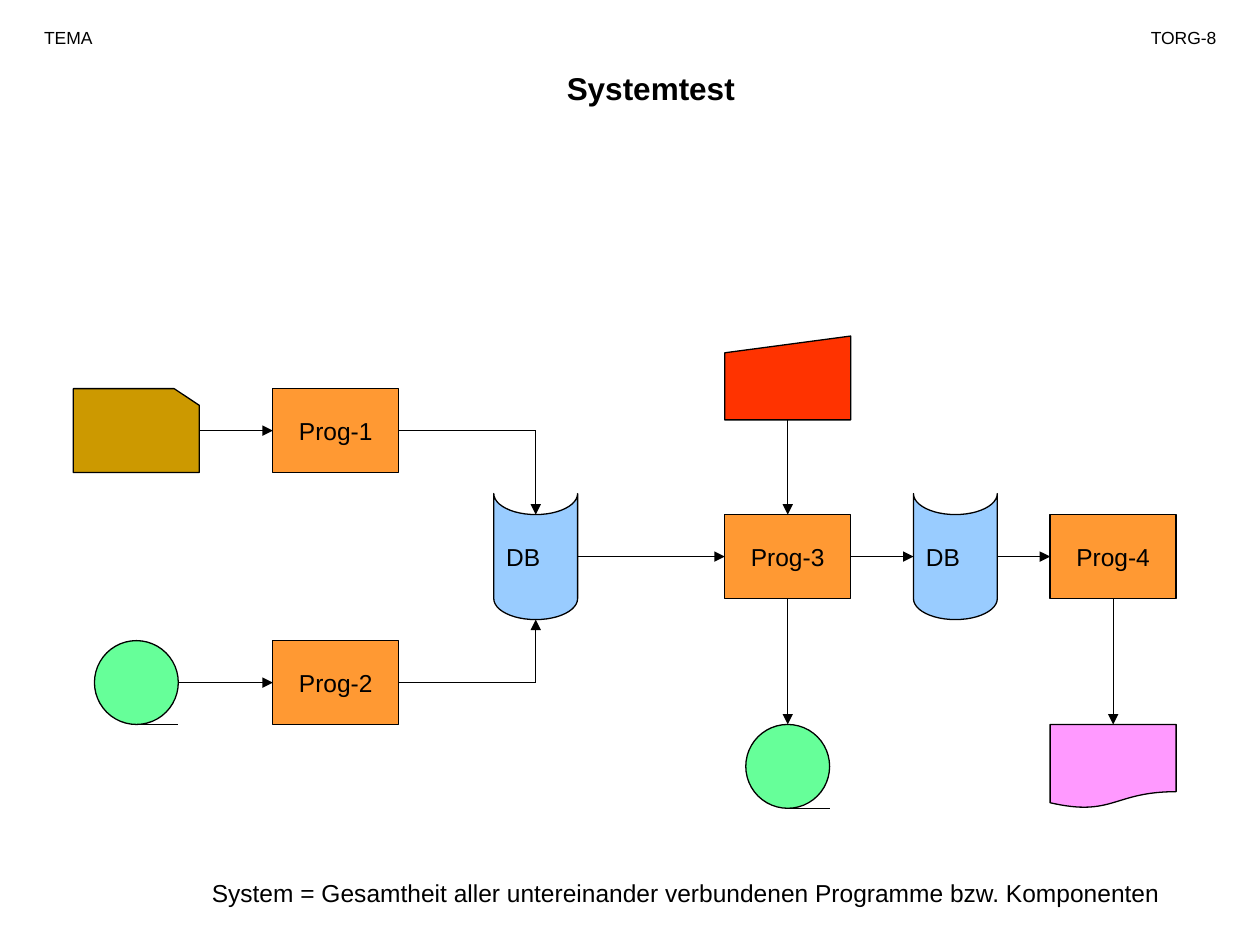
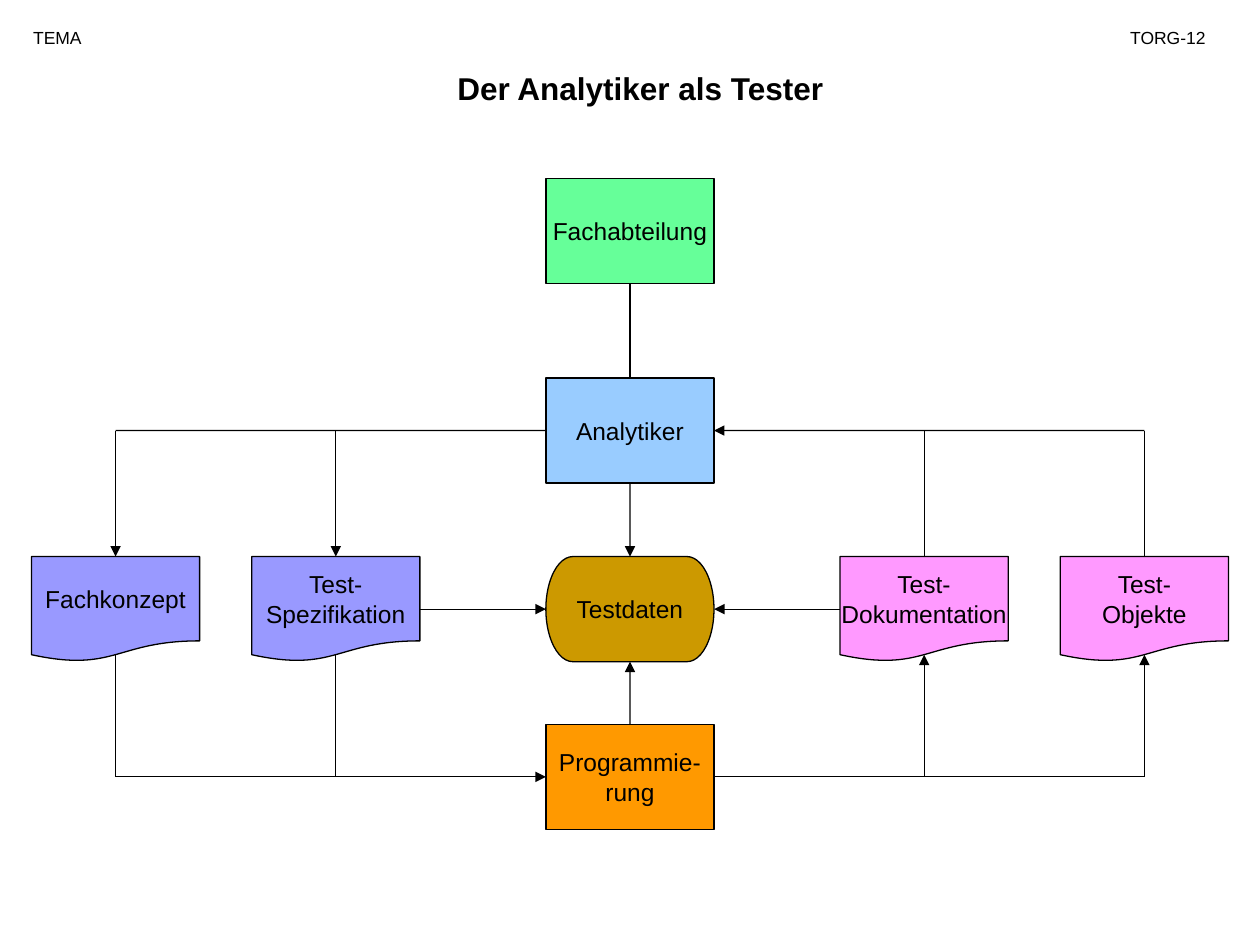
from lxml.etree import SubElement
from pptx import Presentation
from pptx.dml.color import RGBColor
from pptx.enum.shapes import MSO_CONNECTOR as Connector, MSO_SHAPE as Shape
from pptx.enum.text import MSO_ANCHOR as Anchor, MSO_AUTO_SIZE as AutoSize, PP_ALIGN as Align
from pptx.oxml.ns import qn
from pptx.util import Cm, Pt

color = RGBColor.from_string
BLACK, ORANGE, AMBER, OCHRE = "000000", "FF9933", "FF9900", "CC9900"
GREEN, BLUE, VIOLET, PINK, RED = "66FF99", "99CCFF", "9999FF", "FF99FF", "FF3300"
TOP, LEFT, BOTTOM, RIGHT = range(4)


def add_block(slide, kind, x, y, width, height, fill, text=""):
    block = slide.shapes.add_shape(
        kind, Cm(x - width / 2), Cm(y - height / 2), Cm(width), Cm(height))
    block.shadow.inherit = False
    block.fill.solid()
    block.fill.fore_color.rgb = color(fill)
    block.line.color.rgb = color(BLACK)
    block.line.width = Pt(0.75)
    frame = block.text_frame
    frame.text = text
    frame.word_wrap = False
    frame.auto_size = AutoSize.NONE
    frame.vertical_anchor = Anchor.MIDDLE
    for paragraph in frame.paragraphs:
        paragraph.alignment = Align.CENTER
        for run in paragraph.runs:
            run.font.name = "Arial"
            run.font.size = Pt(14)
            run.font.color.rgb = color(BLACK)
    return block


def add_line(slide, start, end, arrow=True):
    line = slide.shapes.add_connector(Connector.STRAIGHT, 0, 0, 0, 0)
    if isinstance(start[0], float):
        line.begin_x, line.begin_y = Cm(start[0]), Cm(start[1])
    else:
        line.begin_connect(*start)
    if isinstance(end[0], float):
        line.end_x, line.end_y = Cm(end[0]), Cm(end[1])
    else:
        line.end_connect(*end)
    line.line.color.rgb = color(BLACK)
    line.line.width = Pt(0.75)
    properties = line._element.spPr
    if arrow:
        SubElement(properties.find(qn("a:ln")), qn("a:tailEnd"), type="triangle")
    SubElement(properties, qn("a:effectLst"))


deck = Presentation()
deck.slide_width, deck.slide_height = Cm(25.4), Cm(19.05)
system, analyst = [deck.slides.add_slide(deck.slide_layouts[6]) for _ in range(2)]

labels = [(system, 4.02, 17.57, 20.32, 0.87, 14, Align.LEFT,
           "System = Gesamtheit aller untereinander verbundenen Programme bzw. Komponenten")]
for slide, topic_left, title_left, title, page in [
    (system, 0.64, 5.5, "Systemtest", "TORG-8"),
    (analyst, 0.42, 5.29, "Der Analytiker als Tester", "TORG-12"),
]:
    labels += [
        (slide, title_left, 1.27, 15.24, 1.02, 18, Align.CENTER, title),
        (slide, topic_left, 0.42, 2.33, 0.69, 10, Align.LEFT, "TEMA"),
        (slide, topic_left + 21.59, 0.42, 2.54, 0.69, 10, Align.RIGHT, page),
    ]
for slide, left, top, width, height, size, alignment, text in labels:
    label = slide.shapes.add_textbox(Cm(left), Cm(top), Cm(width), Cm(height))
    label.text_frame.word_wrap = True
    paragraph = label.text_frame.paragraphs[0]
    paragraph.text = text
    paragraph.alignment = alignment
    font = paragraph.runs[0].font
    font.name, font.size, font.bold = "Arial", Pt(size), size == 18
    font.color.rgb = color(BLACK)

step_w, step_h = 2.54, 1.69
input_x, prog_x, db_x, prog3_x, db2_x, prog4_x = 2.75, 6.77, 10.8, 15.88, 19.26, 22.44
upper_y, main_y, lower_y, output_y = 8.68, 11.22, 13.76, 15.45

prog1, prog2, prog3, prog4 = [
    add_block(system, Shape.RECTANGLE, x, y, step_w, step_h, ORANGE, f"Prog-{number}")
    for number, (x, y) in enumerate(
        [(prog_x, upper_y), (prog_x, lower_y), (prog3_x, main_y), (prog4_x, main_y)], 1)
]
for x in (db_x, db2_x):
    database = add_block(
        system, Shape.FLOWCHART_STORED_DATA, x, main_y, step_w, step_h, BLUE, "DB")
    database.rotation = 270
    frame = database.text_frame
    frame.margin_left = frame.margin_right = Cm(0.13)
    frame.margin_top = frame.margin_bottom = Cm(0.25)
    frame._txBody.bodyPr.set("vert", "eaVert")
add_block(system, Shape.FLOWCHART_DOCUMENT, prog4_x, output_y, step_w, step_h, PINK)
add_block(system, Shape.FLOWCHART_MANUAL_INPUT, prog3_x, 7.62, step_w, step_h, RED)
card = add_block(system, Shape.FLOWCHART_CARD, input_x, upper_y, step_w, step_h, OCHRE)
card._element.spPr.xfrm.set("flipH", "1")
radius = step_h / 2
for x, y in [(input_x, lower_y), (prog3_x, output_y)]:
    add_block(system, Shape.OVAL, x, y, step_h, step_h, GREEN)
    add_line(system, (x, y + radius), (x + radius, y + radius), arrow=False)

output_top = output_y - radius
for start, end in [
    ((input_x + step_w / 2, upper_y), (prog1, LEFT)),
    ((input_x + radius, lower_y), (prog2, LEFT)),
    ((db_x, upper_y), (db_x, main_y - radius)),
    ((db_x, lower_y), (db_x, main_y + step_w / 2)),
    ((db_x + radius, main_y), (prog3, LEFT)),
    ((prog3, RIGHT), (db2_x - radius, main_y)),
    ((db2_x + radius, main_y), (prog4, LEFT)),
    ((prog3_x, 7.62 + radius), (prog3, TOP)),
    ((prog3, BOTTOM), (prog3_x, output_top)),
    ((prog4, BOTTOM), (prog4_x, output_top)),
]:
    add_line(system, start, end)
for program, y in [(prog1, upper_y), (prog2, lower_y)]:
    add_line(system, (program, RIGHT), (db_x, y), arrow=False)

role_w, role_h = 3.39, 2.12
concept_x, spec_x, middle_x, docs_x, objects_x = 2.33, 6.77, 12.7, 18.63, 23.07
analyst_y, data_y, coding_y = 8.68, 12.28, 15.66
papers_top, papers_bottom = data_y - role_h / 2, 13.2

department, analysis, coding, _ = [
    add_block(analyst, kind, middle_x, y, role_w, role_h, fill, text)
    for kind, y, fill, text in [
        (Shape.RECTANGLE, 4.66, GREEN, "Fachabteilung"),
        (Shape.RECTANGLE, analyst_y, BLUE, "Analytiker"),
        (Shape.RECTANGLE, coding_y, AMBER, "Programmie-\nrung"),
        (Shape.FLOWCHART_TERMINATOR, data_y, OCHRE, "Testdaten"),
    ]
]
for x, fill, text in [
    (concept_x, VIOLET, "Fachkonzept"),
    (spec_x, VIOLET, "Test-\nSpezifikation"),
    (docs_x, PINK, "Test-\nDokumentation"),
    (objects_x, PINK, "Test-\nObjekte"),
]:
    add_block(analyst, Shape.FLOWCHART_DOCUMENT, x, data_y, role_w, role_h, fill, text)

half = role_w / 2
add_line(analyst, (department, BOTTOM), (analysis, TOP), arrow=False)
add_line(analyst, (analysis, BOTTOM), (middle_x, papers_top))
add_line(analyst, (coding, TOP), (middle_x, data_y + role_h / 2))
add_line(analyst, (spec_x + half, data_y), (middle_x - half, data_y))
add_line(analyst, (docs_x - half, data_y), (middle_x + half, data_y))
for x in (concept_x, spec_x):
    add_line(analyst, (x, analyst_y), (x, papers_top))
    add_line(analyst, (x, papers_bottom), (x, coding_y), arrow=False)
for x in (docs_x, objects_x):
    add_line(analyst, (x, papers_top), (x, analyst_y), arrow=False)
    add_line(analyst, (x, coding_y), (x, papers_bottom))
add_line(analyst, (analysis, LEFT), (concept_x, analyst_y), arrow=False)
add_line(analyst, (objects_x, analyst_y), (analysis, RIGHT))
add_line(analyst, (concept_x, coding_y), (coding, LEFT))
add_line(analyst, (coding, RIGHT), (objects_x, coding_y), arrow=False)

deck.save("out.pptx")
